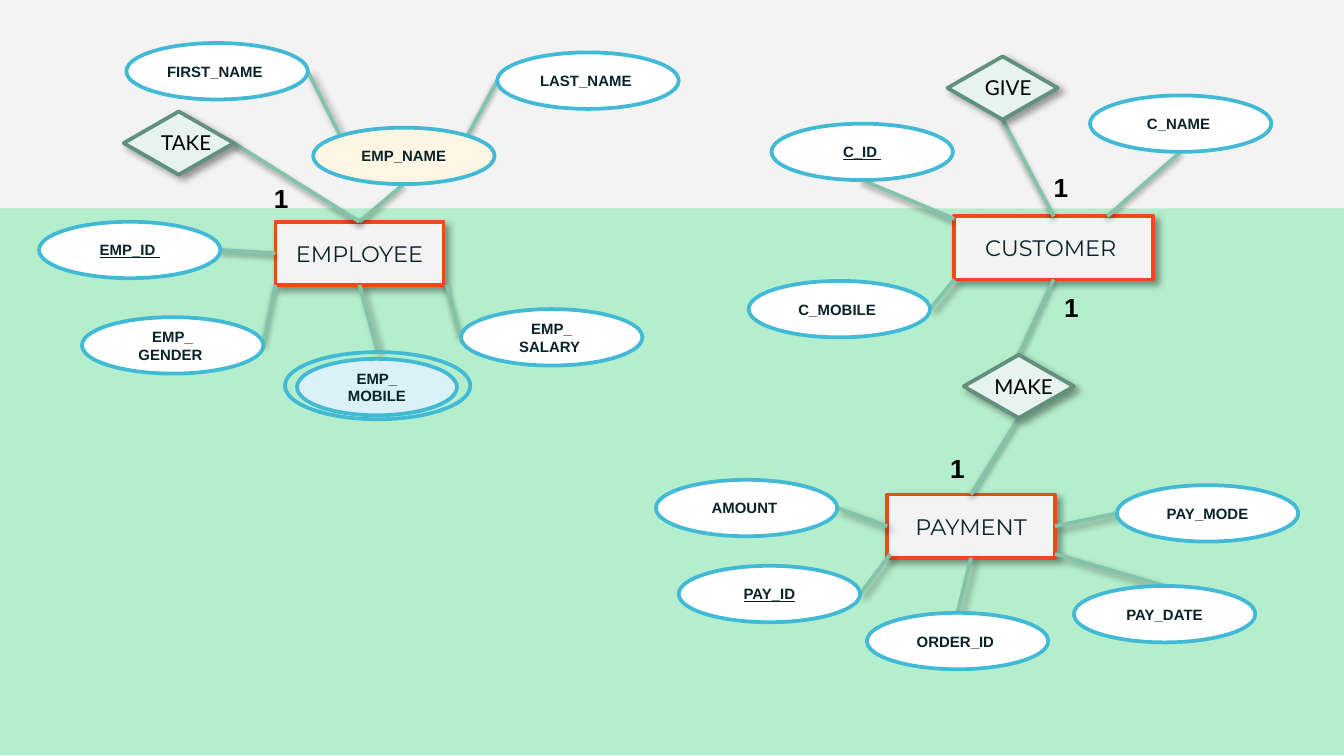
from lxml import etree
from pptx import Presentation
from pptx.dml.color import RGBColor
from pptx.enum.shapes import MSO_CONNECTOR, MSO_SHAPE
from pptx.enum.text import MSO_ANCHOR, PP_ALIGN
from pptx.oxml.ns import qn
from pptx.util import Inches, Pt

RECT = MSO_SHAPE.RECTANGLE
OVAL = MSO_SHAPE.OVAL
GEM = MSO_SHAPE.FLOWCHART_DECISION
LINE = MSO_CONNECTOR.STRAIGHT
LEFT, MID = PP_ALIGN.LEFT, PP_ALIGN.CENTER
CORE = MSO_ANCHOR.MIDDLE

THEME = {
    "back": "F3F3F3", "band": "B5EECC", "link": "83C3A9", "stroke": 2,
    "box": ("F3F3F3", "F1471D"),
    "gem": ("E6F3EE", "61907D"),
    "oval": ("FFFFFF", "42BAD6"),
    "group": ("FEF6E2", "42BAD6"),
    "multi": ("D9F1F7", "42BAD6"),
    "ring": (None, "42BAD6"),
    "head": ("Montserrat", 12, "092329", False),
    "field": ("Arial", 8, "092329", True),
    "verb": ("Lato", 11, "000000", False),
    "count": ("Arial", 14, "000000", True),
    "shade": "000000",
    "deep": (40, 4, 3, 45),
    "soft": (38, 3.1, 1.6, 90),
}

WIDE = 10
HIGH = WIDE * 9 / 16
BAND = (-0.03, 1.55, 10.05, 4.07)

BOXES = {
    "customer": ("CUSTOMER ", 7.1, 1.61, 1.48, 0.47),
    "employee": ("EMPLOYEE", 2.05, 1.65, 1.25, 0.47),
    "payment": ("PAYMENT", 6.6, 3.68, 1.25, 0.47),
}

OVAL_W, OVAL_H = 1.35, 0.42
FIELDS = {
    "first": ("FIRST_NAME ", 0.94, 0.32),
    "last": ("LAST_NAME ", 3.7, 0.39),
    "name": ("EMP_NAME", 2.33, 0.95),
    "emp id": ("EMP_ID ", 0.29, 1.65),
    "gender": ("EMP_\nGENDER ", 0.61, 2.36),
    "salary": ("EMP_\nSALARY ", 3.43, 2.3),
    "mobile": ("EMP_\nMOBILE", 2.21, 2.67, 1.19, 0.42),
    "ring": ("", 2.12, 2.62, 1.38, 0.5),
    "c id": ("C_ID ", 5.74, 0.92),
    "c name": ("C_NAME ", 8.11, 0.71),
    "c mobile": ("C_MOBILE ", 5.57, 2.09),
    "amount": ("AMOUNT ", 4.88, 3.57),
    "pay id": ("PAY_ID", 5.05, 4.21),
    "order": ("ORDER_ID ", 6.45, 4.56),
    "mode": ("PAY_MODE", 8.31, 3.61),
    "date": ("PAY_DATE", 7.99, 4.36),
}
LOOKS = {"name": "group", "mobile": "multi", "ring": "ring"}
KEYS = ("emp id", "c id", "pay id")

GEM_W, GEM_H = 0.82, 0.47
VERBS = {
    "take": ("TAKE", 0.92, 0.83, 0.18),
    "give": ("GIVE", 7.05, 0.42, 0.18),
    "make": ("MAKE", 7.17, 2.64, 0.13),
}
COUNTS = [(1.94, 1.31), (7.74, 1.23), (7.82, 2.12), (6.97, 3.32)]

SIDES = {
    "n": (0.5, 0), "s": (0.5, 1), "e": (1, 0.5), "w": (0, 0.5),
    "nw": (0, 0.04), "sw": (0, 1), "se": (1.02, 1), "top": (0.77, 0),
    "low w": (0.02, 0.94), "low e": (1, 0.94),
    "arc nw": (0.15, 0.15), "arc ne": (0.85, 0.15),
}
LINKS = {
    "soft": [
        ("employee", "n", "name", "s"),
        ("name", "arc ne", "last", "w"),
        ("gender", "e", "employee", "sw"),
        ("make", "n", "customer", "s"),
        ("c id", "s", "customer", "nw"),
        ("c name", "s", "customer", "top"),
        ("emp id", "e", "employee", "w"),
        ("payment", "n", "make", "s"),
        ("salary", "w", "employee", "se"),
        ("customer", "n", "give", "s"),
        ("employee", "n", "take", "e"),
    ],
    "deep": [
        ("customer", "sw", "c mobile", "e"),
        ("first", "e", "name", "arc nw"),
        ("employee", "s", "ring", "n"),
        ("payment", "low w", "pay id", "e"),
        ("payment", "s", "order", "n"),
        ("payment", "low e", "date", "n"),
        ("payment", "e", "mode", "w"),
        ("amount", "e", "payment", "w"),
    ],
}


def tint(code):
    return RGBColor.from_string(code)


def cast(item, shade=None):
    glow = etree.SubElement(item.element.spPr, qn("a:effectLst"))
    if shade:
        alpha, blur, dist, turn = THEME[shade]
        drop = etree.SubElement(
            glow, qn("a:outerShdw"), blurRad=str(Pt(blur)),
            dist=str(Pt(dist)), dir=str(turn * 60000),
            algn="bl", rotWithShape="0")
        ink = etree.SubElement(drop, qn("a:srgbClr"), val=THEME["shade"])
        etree.SubElement(ink, qn("a:alpha"), val=str(alpha * 1000))


def write(item, text, style, align, under=False):
    face, size, ink, bold = THEME[style]
    frame = item.text_frame
    frame.word_wrap = True
    frame.text = text
    for para in frame.paragraphs:
        para.alignment = align
        for run in para.runs:
            font = run.font
            font.name, font.size, font.bold = face, Pt(size), bold
            font.color.rgb = tint(ink)
            if under:
                font.underline = True


def draw(slide, form, place, fill, edge=None, shade=None):
    item = slide.shapes.add_shape(form, *map(Inches, place))
    if fill:
        item.fill.solid()
        item.fill.fore_color.rgb = tint(fill)
    else:
        item.fill.background()
    if edge:
        item.line.color.rgb = tint(edge)
        item.line.width = Pt(THEME["stroke"])
    else:
        item.line.fill.background()
    cast(item, shade)
    frame = item.text_frame
    frame.margin_left = frame.margin_right = 0
    frame.margin_top = frame.margin_bottom = 0
    frame.vertical_anchor = CORE
    return item


def label(slide, place, text, style):
    item = slide.shapes.add_textbox(*map(Inches, place))
    write(item, text, style, LEFT)


def spot(place, side):
    x, y, w, h = place
    dx, dy = SIDES[side]
    return Inches(x + w * dx), Inches(y + h * dy)


def main():
    deck = Presentation()
    deck.slide_width, deck.slide_height = Inches(WIDE), Inches(HIGH)
    slide = deck.slides.add_slide(deck.slide_layouts[6])
    slide.background.fill.solid()
    slide.background.fill.fore_color.rgb = tint(THEME["back"])
    draw(slide, RECT, BAND, THEME["band"])

    spots = {key: row[1:] for key, row in BOXES.items()}
    for key, (text, x, y, *size) in FIELDS.items():
        spots[key] = (x, y, *(size or (OVAL_W, OVAL_H)))
    for key, (text, x, y, inset) in VERBS.items():
        spots[key] = (x, y, GEM_W, GEM_H)

    for key, row in BOXES.items():
        item = draw(slide, RECT, spots[key], *THEME["box"], "deep")
        write(item, row[0], "head", MID)

    for shade, links in LINKS.items():
        for start, out, end, into in links:
            line = slide.shapes.add_connector(
                LINE, *spot(spots[start], out), *spot(spots[end], into))
            line.line.color.rgb = tint(THEME["link"])
            line.line.width = Pt(THEME["stroke"])
            cast(line, shade)

    for key, row in FIELDS.items():
        item = draw(slide, OVAL, spots[key], *THEME[LOOKS.get(key, "oval")])
        if row[0]:
            write(item, row[0], "field", MID, key in KEYS)

    for key, (text, x, y, inset) in VERBS.items():
        draw(slide, GEM, spots[key], *THEME["gem"], "deep")
        label(slide, (x + inset, y + 0.09, GEM_W, 0.29), text, "verb")

    for x, y in COUNTS:
        label(slide, (x, y, 0.45, 0.34), "1", "count")
    deck.save("out.pptx")


if __name__ == "__main__":
    main()
